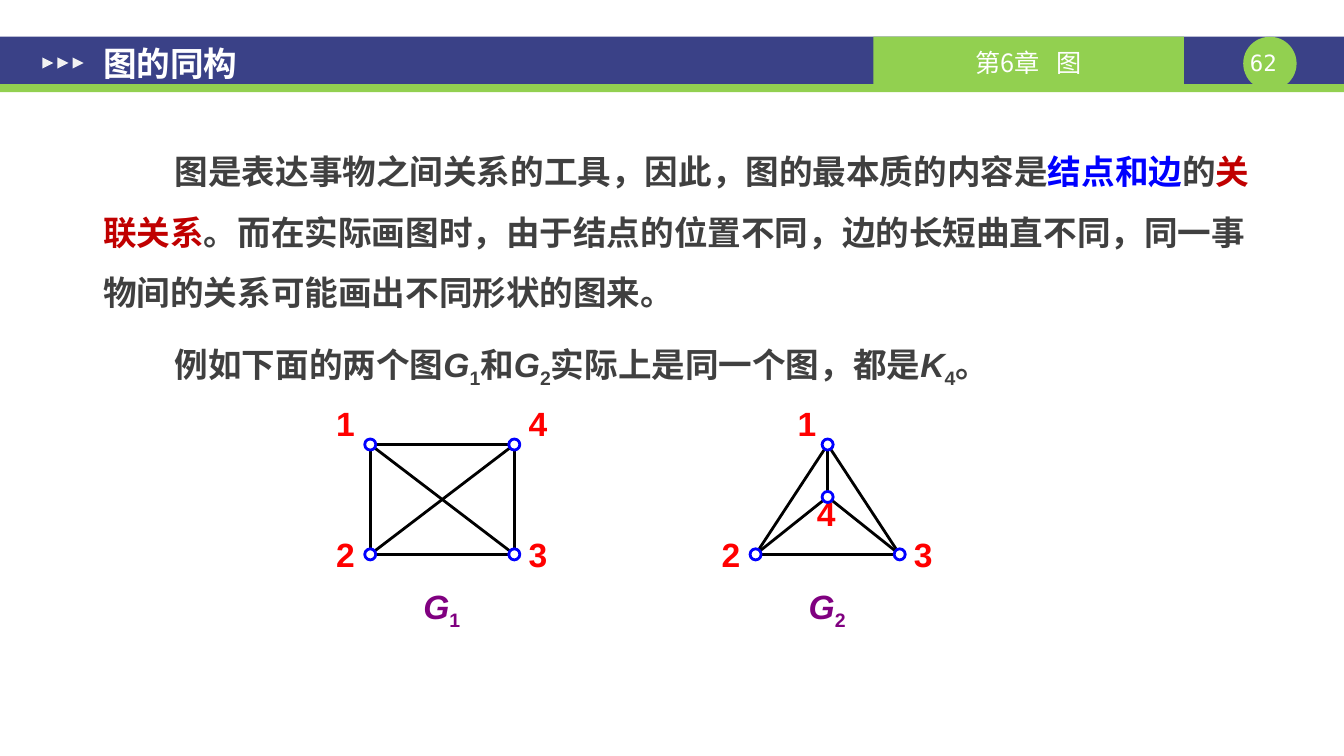
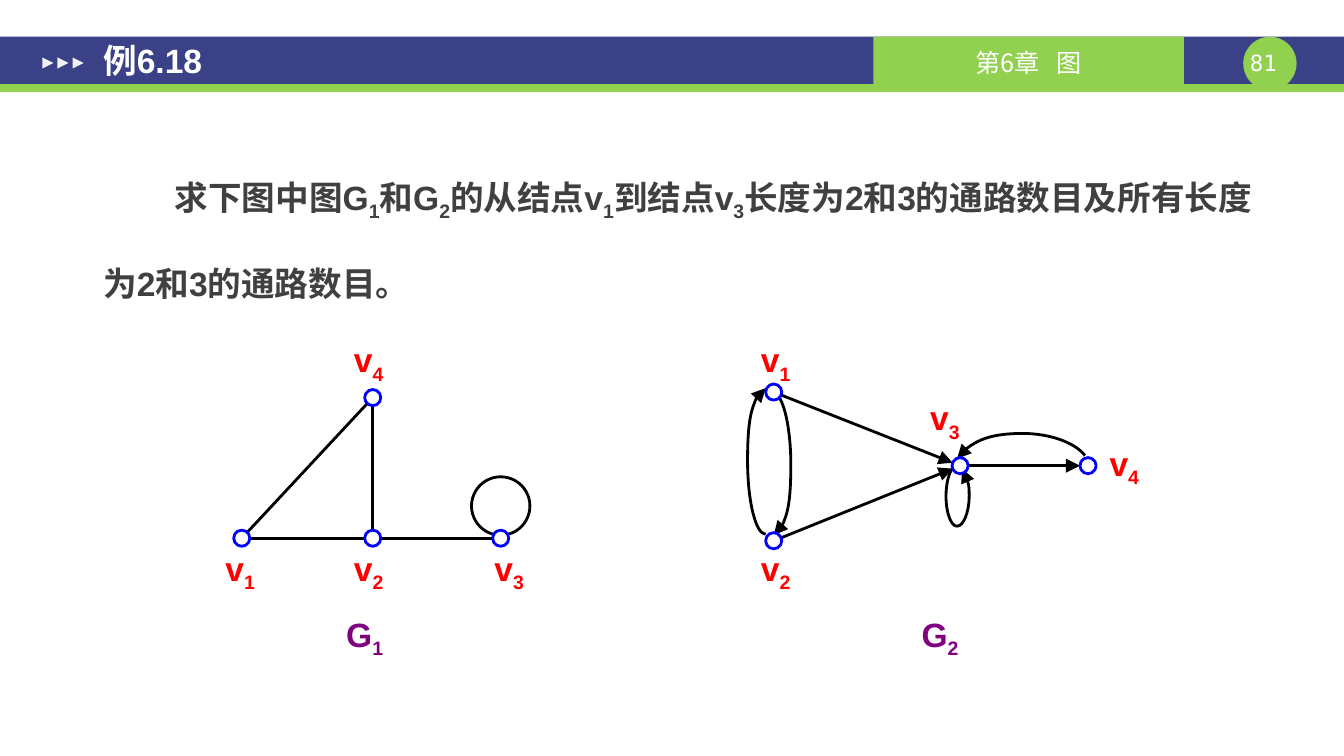
from math import hypot

from pptx import Presentation
from pptx import util as u
from pptx.dml.color import RGBColor
from pptx.enum import shapes, text
from pptx.oxml.ns import qn
from lxml import etree

CELL = u.Inches(0.1)
COLS, ROWS = 133.4, 75


def grid(n):
    return u.Emu(round(n * CELL))


def rgb(code):
    return RGBColor.from_string(code)


def indexed(name, index, **style):
    return [(name, style), (index, {"sub": True})]


class Deck:
    NAVY, GREEN, PALE = "3A4187", "92D050", "F2F2F2"
    WHITE, BLACK, BODY = "FFFFFF", "000000", "404040"
    BLUE, RED, DARK_RED, PURPLE = "0000FF", "FF0000", "C00000", "800080"
    LATIN, CJK, MONO = "Arial", "Noto Sans CJK SC", "DejaVu Sans Mono"
    BAR_TOP, BAR_HEIGHT = 3.65, 4.7
    LEFT, INSET = 8.95, (1.3, 0.7, 1.3, 0.7)

    def __init__(self):
        self.prs = Presentation()
        self.prs.slide_width, self.prs.slide_height = grid(COLS), grid(ROWS)
        self.s = None

    def new_slide(self, title, number, title_middle):
        self.s = self.prs.slides.add_slide(self.prs.slide_layouts[6])
        rect, oval = shapes.MSO_SHAPE.RECTANGLE, shapes.MSO_SHAPE.OVAL
        top, height = self.BAR_TOP, self.BAR_HEIGHT
        self.shape(rect, 0, top, COLS, height, self.NAVY)
        self.shape(oval, 123.4, top, 5.3, 5.3, self.GREEN)
        self.shape(rect, 0, top + height, COLS, 0.8, self.GREEN)
        self.text(123.4, 4.85, 4, 2.7, [(number, {})], size=16, color=self.WHITE,
                  font=self.MONO, bold=False, center=True)
        self.shape(rect, 86.7, top, 30.8, height, self.GREEN)
        self.text(86.7, top, 30.8, height,
                  [("第6章", {}), (" ", {"spacing": 8}), ("图", {})],
                  size=18, color=self.WHITE, font=self.CJK, bold=False,
                  center=True, middle=True, inset=(1, 0.4, 1, 0))
        for i in range(3):
            sp = self.shape(shapes.MSO_SHAPE.ISOSCELES_TRIANGLE,
                            4.2 + 1.5 * i, 5.7, 1.1, 1.1, self.PALE)
            sp.rotation = 90
        self.text(self.LEFT, title_middle - 4.4, 102.7, 8.8, [(title, {})],
                  color=self.WHITE, middle=True, inset=self.INSET)

    def stroke(self, sp, color, arrow=False):
        sp.line.color.rgb = rgb(color)
        sp.line.width = u.Pt(2)
        if arrow:
            etree.SubElement(sp.line._get_or_add_ln(), qn("a:tailEnd"),
                             type="triangle", w="lg", len="lg")

    def shape(self, kind, x, y, w, h, fill, line=None):
        sp = self.s.shapes.add_shape(kind, grid(x), grid(y), grid(w), grid(h))
        sp.shadow.inherit = False
        sp.fill.solid()
        sp.fill.fore_color.rgb = rgb(fill)
        if line:
            self.stroke(sp, line)
        else:
            sp.line.fill.background()
        return sp

    def run(self, p, content, size, color, font, bold,
            italic=False, sub=False, spacing=0):
        r = p.add_run()
        r.text = content
        r.font.size, r.font.bold, r.font.italic = u.Pt(size), bold, italic
        r.font.color.rgb = rgb(color)
        r.font.name = font
        rPr = r._r.get_or_add_rPr()
        etree.SubElement(rPr, qn("a:ea"), typeface=self.CJK)
        if sub:
            rPr.set("baseline", "-25000")
        if spacing:
            rPr.set("spc", str(spacing * 100))

    def text(self, x, y, w, h, *paragraphs, size=24, color=BODY, font=LATIN,
             bold=True, center=False, middle=False, inset=(0, 0, 0, 0),
             indent=0, leading=None, before=0):
        tf = self.s.shapes.add_textbox(grid(x), grid(y), grid(w), grid(h)).text_frame
        tf.word_wrap = True
        tf.margin_left, tf.margin_top, tf.margin_right, tf.margin_bottom = map(grid, inset)
        tf.vertical_anchor = text.MSO_ANCHOR.MIDDLE if middle else text.MSO_ANCHOR.TOP
        for i, runs in enumerate(paragraphs):
            p = tf.add_paragraph() if i else tf.paragraphs[0]
            p.alignment = text.PP_ALIGN.CENTER if center else text.PP_ALIGN.LEFT
            if leading:
                p.line_spacing = leading
            if i:
                p.space_before = u.Pt(before)
            if indent:
                p._p.get_or_add_pPr().set("indent", str(grid(indent)))
            for content, style in runs:
                self.run(p, content, **{"size": size, "color": color,
                                        "font": font, "bold": bold, **style})

    def body(self, h, leading, *paragraphs):
        self.text(self.LEFT, 12.3, 117.6, h, *paragraphs, inset=self.INSET,
                  indent=7.1, leading=leading, before=6)

    def label(self, x, y, runs, width, color=RED):
        self.text(x - width / 2, y, width, 5.8, runs, color=color, center=True)

    def edge(self, start, end, gap, arrow):
        (x1, y1), (x2, y2) = start, end
        length = hypot(x2 - x1, y2 - y1)
        dx, dy = gap * (x2 - x1) / length, gap * (y2 - y1) / length
        c = self.s.shapes.add_connector(
            shapes.MSO_CONNECTOR.STRAIGHT, grid(x1 + dx), grid(y1 + dy),
            grid(x2 - dx), grid(y2 - dy))
        self.stroke(c, self.BLACK, arrow)
        etree.SubElement(c._element.spPr, qn("a:effectLst"))

    def curve(self, *points):
        start, *rest = [(grid(x), grid(y)) for x, y in points]
        builder = self.s.shapes.build_freeform(*start)
        builder.add_line_segments(rest, close=False)
        sp = builder.convert_to_shape()
        segments = list(sp._element.iter(qn("a:lnTo")))
        for k in range(0, len(segments), 3):
            first, *others = segments[k:k + 3]
            cubic = etree.Element(qn("a:cubicBezTo"))
            first.addprevious(cubic)
            for segment in (first, *others):
                cubic.append(segment[0])
                segment.getparent().remove(segment)
        sp.shadow.inherit = False
        sp.fill.background()
        self.stroke(sp, self.BLACK, arrow=True)

    def graph(self, nodes, edges, diameter, prefix="", arrow=False):
        radius = diameter / 2
        for a, b in edges:
            self.edge(nodes[a][:2], nodes[b][:2], radius, arrow)
        for name, (x, y, label_x, label_y) in nodes.items():
            runs = indexed(prefix, name) if prefix else [(name, {})]
            self.label(label_x, label_y, runs, 4.6 if prefix else 3.6)
            self.shape(shapes.MSO_SHAPE.OVAL, x - radius, y - radius,
                       diameter, diameter, self.WHITE, self.BLUE)


def isomorphism(d):
    d.new_slide("图的同构", "62", 6.3)
    d.body(
        28.9, 1.5,
        [("图是表达事物之间关系的工具，因此，图的最本质的内容是", {}),
         ("结点和边", {"color": d.BLUE}), ("的", {}),
         ("关联关系", {"color": d.DARK_RED}),
         ("。而在实际画图时，由于结点的位置不同，边的长短曲直不同，"
          "同一事物间的关系可能画出不同形状的图来。", {})],
        [("例如下面的两个图", {}), *indexed("G", "1", italic=True), ("和", {}),
         *indexed("G", "2", italic=True), ("实际上是同一个图，都是", {}),
         *indexed("K", "4", italic=True), ("。", {})])
    top, bottom, label_top, label_bottom = 44.1, 55, 40, 53
    square = {"1": (36.75, top, 34.3, label_top),
              "2": (36.75, bottom, 34.3, label_bottom),
              "3": (51.05, bottom, 53.4, label_bottom),
              "4": (51.05, top, 53.4, label_top)}
    triangle = {"1": (82.15, top, 80.1, label_top),
                "2": (75, bottom, 72.55, label_bottom),
                "3": (89.3, bottom, 91.65, label_bottom),
                "4": (82.15, 49.3, 82, 48.9)}
    complete = ("12", "13", "14", "23", "24", "34")
    for index, nodes, x in (("1", square, 43.85), ("2", triangle, 82.1)):
        d.graph(nodes, complete, 1.1)
        d.label(x, 58.1, indexed("G", index, italic=True), 7.2, d.PURPLE)


def walks(d):
    d.new_slide("例6.18", "81", 6)
    d.body(
        19.3, 2,
        [("求下图中图G", {}), ("1", {"sub": True}), *indexed("和G", "2"),
         *indexed("的从结点v", "1"), *indexed("到结点v", "3"),
         ("长度为2和3的通路数目及所有长度为2和3的通路数目。", {})])
    base, label_top, label_bottom = 53.4, 33.65, 54.35
    d.shape(shapes.MSO_SHAPE.OVAL, 46.8, 47.3, 5.8, 5.8, d.WHITE, d.BLACK)
    d.graph({"1": (24, base, 23.85, label_bottom),
             "2": (37, base, 36.6, label_bottom),
             "3": (49.7, base, 50.55, label_bottom),
             "4": (37, 39.45, 36.6, label_top)},
            ("14", "12", "23", "24"), 1.6, "v")
    d.curve((76, 53), (75, 53), (74.2, 49.7), (74.2, 45.7),
            (74.2, 41.7), (75, 38.5), (76, 38.5))
    d.curve((77, 39.1), (77.8, 39.5), (78.5, 42.5), (78.5, 46.1),
            (78.5, 50), (77.7, 53.1), (76.8, 53.1))
    d.curve((107.7, 45.2), (106.7, 43.9), (104.2, 43), (101.5, 43),
            (98.5, 43), (95.9, 44), (95, 45.5))
    d.curve((94.6, 46.4), (94.2, 46.8), (93.9, 48), (93.9, 49.2),
            (93.9, 50.9), (94.4, 52.2), (95, 52.2),
            (95.6, 52.2), (96.2, 50.9), (96.2, 49.2),
            (96.2, 48), (95.9, 47), (95.5, 46.5))
    d.graph({"1": (76.8, 38.9, 77, label_top),
             "2": (76.8, 53.65, 77, label_bottom),
             "3": (95.3, 46.2, 93.8, 39.4),
             "4": (108, 46.2, 111.6, 43.9)},
            ("13", "23", "34"), 1.6, "v", arrow=True)
    for index, x in (("1", 36.2), ("2", 93.3)):
        d.label(x, 60.9, indexed("G", index), 6.2, d.PURPLE)


def main():
    d = Deck()
    isomorphism(d)
    walks(d)
    d.prs.save("out.pptx")


if __name__ == "__main__":
    main()
